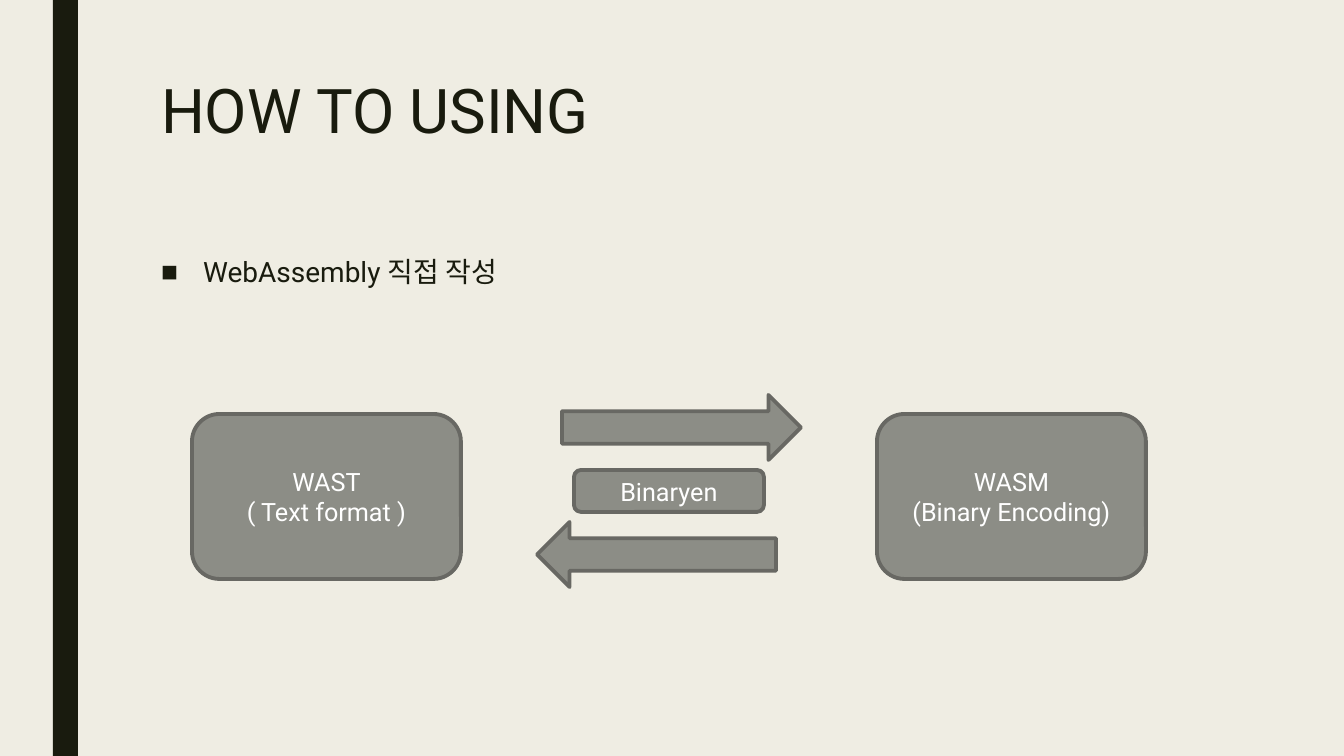
from dataclasses import dataclass

from lxml import etree
from pptx import Presentation
from pptx.dml.color import RGBColor
from pptx.enum import shapes, text
from pptx.oxml import ns
from pptx.util import Emu, Pt

EMU_PER_PX = 914400 / 100.8
FONT = "Roboto"
PAPER = RGBColor(0xEF, 0xED, 0xE3)
INK = RGBColor(0x19, 0x1B, 0x0E)
GREY = RGBColor(0x8C, 0x8D, 0x86)
OUTLINE = RGBColor(0x68, 0x68, 0x63)
WHITE = RGBColor(0xFF, 0xFF, 0xFF)

BOX = shapes.MSO_SHAPE.ROUNDED_RECTANGLE
ARROW = shapes.MSO_SHAPE.RIGHT_ARROW


@dataclass(frozen=True)
class Node:
    kind: shapes.MSO_SHAPE
    left: int
    top: int
    width: int
    height: int
    lines: tuple[str, ...] = ()
    rotation: int = 0


NODES = (
    Node(BOX, 192, 414, 269, 165, ("WAST", "( Text format )")),
    Node(ARROW, 562, 395, 239, 65),
    Node(ARROW, 537, 522, 239, 65, rotation=180),
    Node(BOX, 877, 414, 269, 165, ("WASM", "(Binary Encoding)")),
    Node(BOX, 574, 470, 190, 42, ("Binaryen",)),
)


def px(value: int) -> Emu:
    return Emu(round(value * EMU_PER_PX))


def place(shape, left: int, top: int, width: int, height: int) -> None:
    shape.left, shape.top = px(left), px(top)
    shape.width, shape.height = px(width), px(height)


def add_run(paragraph, words: str, size: int, color: RGBColor) -> None:
    run = paragraph.add_run()
    run.text = words
    run.font.name = FONT
    run.font.size = Pt(size)
    run.font.color.rgb = color


def fill_placeholder(shape, words: str, size: int, line_spacing: float):
    frame = shape.text_frame
    frame.word_wrap = True
    frame.auto_size = text.MSO_AUTO_SIZE.NONE
    frame.vertical_anchor = text.MSO_ANCHOR.TOP
    paragraph = frame.paragraphs[0]
    paragraph.alignment = text.PP_ALIGN.LEFT
    paragraph.line_spacing = line_spacing
    paragraph.space_before = Pt(0)
    add_run(paragraph, words, size, INK)
    return paragraph


def add_bullet(paragraph, character: str, indent: int) -> None:
    properties = paragraph._p.get_or_add_pPr()
    properties.set("marL", str(px(indent)))
    properties.set("indent", str(-px(indent)))
    bullet = etree.SubElement(properties, ns.qn("a:buChar"))
    bullet.set("char", character)


def add_node(slide, node: Node) -> None:
    shape = slide.shapes.add_shape(
        node.kind, px(node.left), px(node.top), px(node.width), px(node.height)
    )
    shape.rotation = node.rotation
    shape.shadow.inherit = False
    shape.fill.solid()
    shape.fill.fore_color.rgb = GREY
    shape.line.color.rgb = OUTLINE
    shape.line.width = Pt(2.75)
    frame = shape.text_frame
    frame.vertical_anchor = text.MSO_ANCHOR.MIDDLE
    for index, line in enumerate(node.lines):
        paragraph = frame.add_paragraph() if index else frame.paragraphs[0]
        paragraph.alignment = text.PP_ALIGN.CENTER
        add_run(paragraph, line, 18, WHITE)


def main() -> None:
    presentation = Presentation()
    presentation.slide_width, presentation.slide_height = px(1344), px(756)
    slide = presentation.slides.add_slide(presentation.slide_layouts[1])
    slide.background.fill.solid()
    slide.background.fill.fore_color.rgb = PAPER

    # Side bar
    bar = slide.shapes.add_shape(
        shapes.MSO_SHAPE.RECTANGLE, px(53), px(0), px(25), px(756)
    )
    bar.shadow.inherit = False
    bar.fill.solid()
    bar.fill.fore_color.rgb = INK
    bar.line.fill.background()

    # Title and list
    title, body = slide.placeholders
    place(title, 151, 76, 1058, 163)
    fill_placeholder(title, "HOW TO USING", 44, 0.89)
    place(body, 151, 252, 1058, 106)
    item = fill_placeholder(body, "WebAssembly 직접 작성", 20, 0.94)
    item.space_after = Pt(2)
    add_bullet(item, "■", 42)

    # Conversion diagram
    for node in NODES:
        add_node(slide, node)

    presentation.save("out.pptx")


if __name__ == "__main__":
    main()
